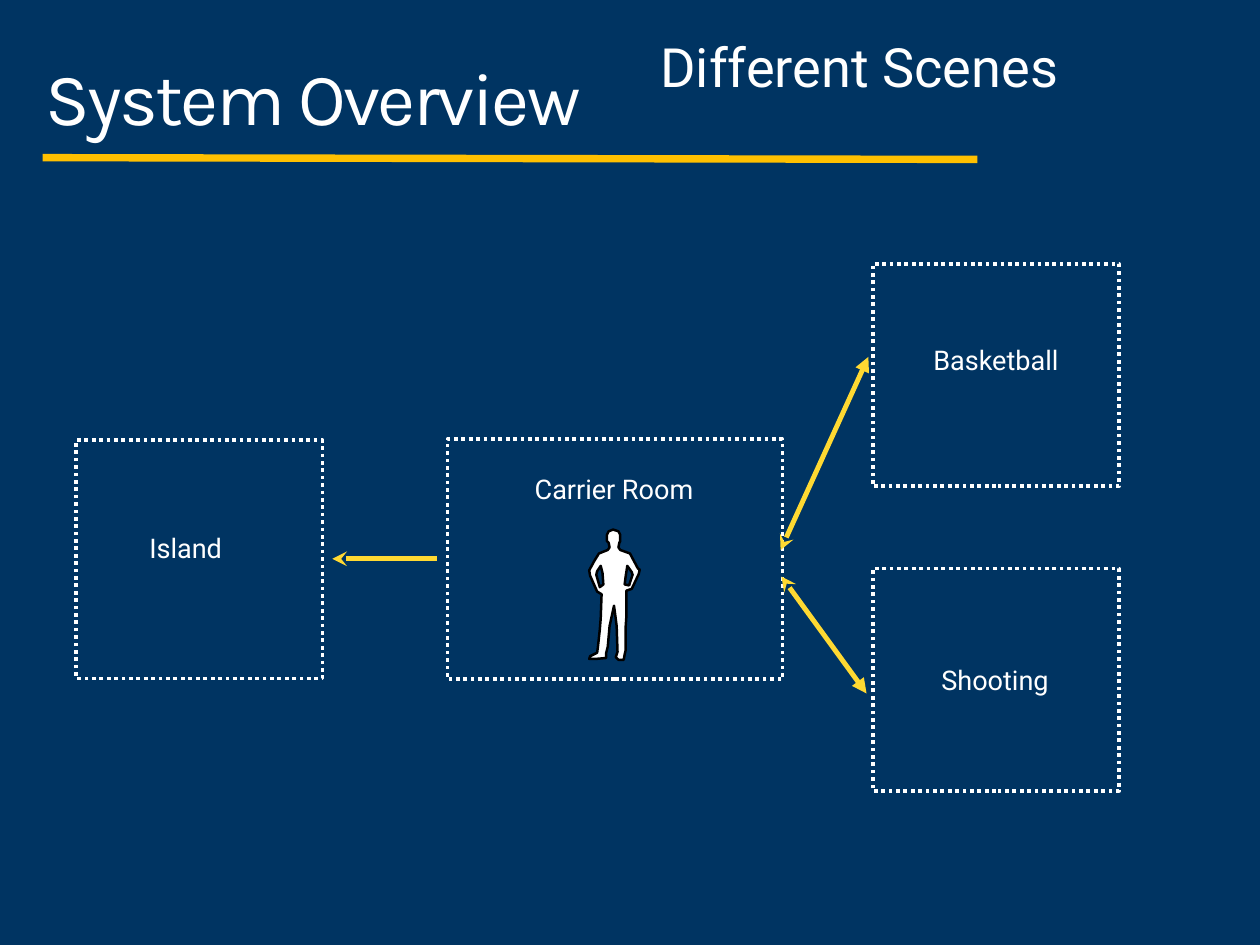
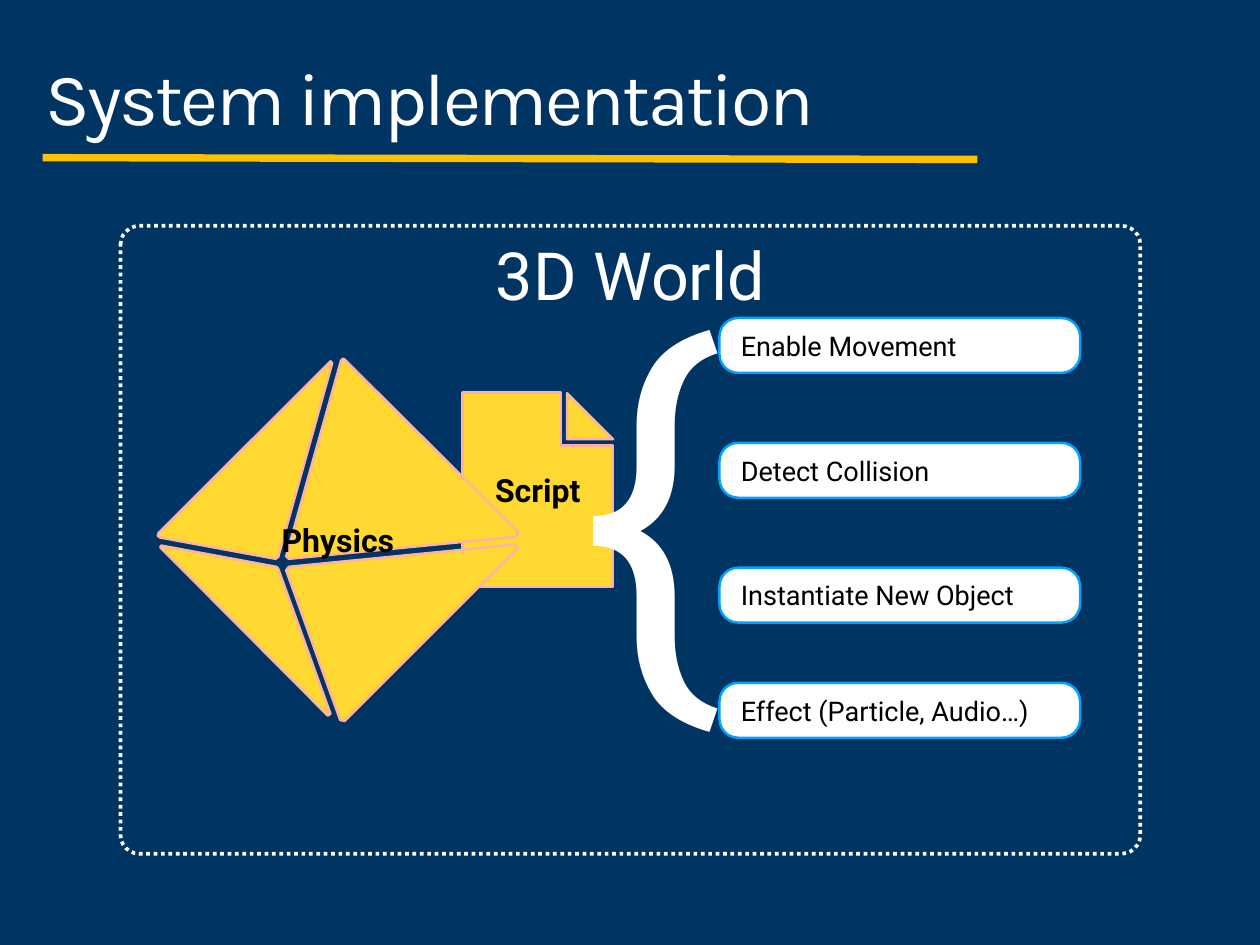
from dataclasses import dataclass

from lxml import etree
from pptx import Presentation
from pptx.dml.color import RGBColor
from pptx.enum import dml, shapes, text
from pptx.oxml import ns
from pptx.util import Inches, Pt


@dataclass(frozen=True)
class Theme:
    navy: str = "003462"
    white: str = "FFFFFF"
    black: str = "000000"
    gold: str = "FFC000"
    yellow: str = "FFD932"
    pink: str = "FFB1A6"
    blue: str = "00A2FF"
    title_font: str = "Karla"
    body_font: str = "Roboto"
    title_size: int = 60
    world_size: int = 54
    heading_size: int = 44
    icon_size: int = 26
    label_size: int = 22
    brace_size: int = 341
    inset: float = 0.03


THEME = Theme()

PERSON_OUTLINE = [
    (6.92, 5.98), (6.87, 6), (6.85, 6.04), (6.85, 6.11), (6.87, 6.13), (6.88, 6.18),
    (6.86, 6.21), (6.76, 6.25), (6.71, 6.33), (6.65, 6.44), (6.66, 6.5), (6.74, 6.68),
    (6.79, 6.71), (6.78, 6.98), (6.77, 7.11), (6.75, 7.29), (6.74, 7.37), (6.66, 7.41),
    (6.65, 7.44), (6.73, 7.44), (6.84, 7.43), (6.84, 7.38), (6.86, 7.3), (6.88, 7.07),
    (6.93, 6.84), (6.95, 6.99), (6.96, 7.07), (6.97, 7.36), (6.95, 7.42), (6.98, 7.45),
    (7.04, 7.45), (7.05, 7.39), (7.06, 7.35), (7.06, 7.1), (7.07, 6.96), (7.07, 6.67),
    (7.13, 6.65), (7.21, 6.48), (7.22, 6.43), (7.2, 6.42), (7.11, 6.25), (7, 6.21),
    (6.98, 6.18), (6.99, 6.13), (7, 6.11), (7, 6.04), (6.98, 6),
]
RIGHT_ARM_GAP = [(7.08, 6.39), (7.13, 6.46), (7.14, 6.49), (7.1, 6.61), (7.05, 6.6), (7.06, 6.52)]
LEFT_ARM_GAP = [(6.78, 6.39), (6.8, 6.47), (6.81, 6.6), (6.77, 6.63), (6.73, 6.49), (6.74, 6.45)]

SCRIPT_PAGE = [(5.22, 4.43), (5.22, 6.63), (6.92, 6.63), (6.92, 5.03), (6.33, 5.03), (6.33, 4.43)]
SCRIPT_FOLD = [(6.4, 4.44), (6.4, 4.96), (6.92, 4.96)]

PHYSICS_FACETS = [
    [(3.87, 4.05), (3.85, 4.07), (3.23, 6.28), (3.26, 6.31), (5.83, 6.06), (5.85, 6.01), (3.89, 4.06)],
    [(3.73, 4.08), (1.79, 6.02), (1.78, 6.05), (1.81, 6.07), (3.11, 6.31), (3.14, 6.29), (3.75, 4.1)],
    [(5.8, 6.15), (3.26, 6.4), (3.23, 6.44), (3.84, 8.13), (3.89, 8.14), (5.83, 6.2), (5.84, 6.17)],
    [(1.82, 6.16), (1.81, 6.18), (3.7, 8.08), (3.73, 8.06), (3.14, 6.42), (3.12, 6.4)],
]


def rgb(color):
    return RGBColor.from_string(color)


def write(shape, words, size, color=THEME.white, font=THEME.body_font, bold=False,
          align=text.PP_ALIGN.CENTER, anchor=text.MSO_ANCHOR.MIDDLE, wrap=True, left_inset=THEME.inset):
    """Put one paragraph in the shape and return it."""
    frame = shape.text_frame
    frame.word_wrap = wrap
    frame.vertical_anchor = anchor
    frame.margin_left = Inches(left_inset)
    frame.margin_right = frame.margin_top = frame.margin_bottom = Inches(THEME.inset)
    para = frame.paragraphs[0]
    para.text = words
    para.alignment = align
    para.font.name = font
    para.font.size = Pt(size)
    para.font.bold = bold
    para.font.color.rgb = rgb(color)
    return para


def paint(shape, line_color, line_width, fill=None):
    shape.shadow.inherit = False
    if fill:
        shape.fill.solid()
        shape.fill.fore_color.rgb = rgb(fill)
    else:
        shape.fill.background()
    shape.line.color.rgb = rgb(line_color)
    shape.line.width = Pt(line_width)


def add_box(slide, kind, bounds, corner=None):
    box = slide.shapes.add_shape(kind, *map(Inches, bounds))
    if corner is not None:
        box.adjustments[0] = corner
    return box


def add_dotted_box(slide, kind, bounds, corner=None):
    box = add_box(slide, kind, bounds, corner)
    paint(box, THEME.white, 3)
    box.line.dash_style = dml.MSO_LINE.ROUND_DOT
    return box


def add_label(slide, words, bounds, size=THEME.label_size):
    label = slide.shapes.add_textbox(*map(Inches, bounds))
    write(label, words, size, wrap=False)
    label.text_frame.auto_size = text.MSO_AUTO_SIZE.SHAPE_TO_FIT_TEXT


def add_outline(slide, contours, fill, line_color):
    """Draw closed contours, given in inches, as one freeform."""
    builder = None
    for contour in contours:
        start, *rest = [(Inches(x), Inches(y)) for x, y in contour]
        if builder is None:
            builder = slide.shapes.build_freeform(*start)
        else:
            builder.move_to(*start)
        builder.add_line_segments(rest, close=True)
    outline = builder.convert_to_shape()
    paint(outline, line_color, 2, fill)
    return outline


def add_line(slide, start, end, color, width, head=None, tail=None):
    line = slide.shapes.add_connector(shapes.MSO_CONNECTOR.STRAIGHT, *map(Inches, start + end))
    line.line.color.rgb = rgb(color)
    line.line.width = Pt(width)
    stroke = line.line._get_or_add_ln()
    for tag, arrow in (("a:headEnd", head), ("a:tailEnd", tail)):
        if arrow:
            etree.SubElement(stroke, ns.qn(tag), type=arrow)
    etree.SubElement(line._element.spPr, ns.qn("a:effectLst"))


def add_titled_slide(deck, title):
    slide = deck.slides.add_slide(deck.slide_layouts[6])
    slide.background.fill.solid()
    slide.background.fill.fore_color.rgb = rgb(THEME.navy)
    box = slide.shapes.add_textbox(*map(Inches, (0.48, 0.47, 11.98, 1.14)))
    para = write(box, title, THEME.title_size, font=THEME.title_font,
                 align=text.PP_ALIGN.LEFT, anchor=text.MSO_ANCHOR.BOTTOM)
    para.line_spacing = 0.8
    para.runs[0].font._element.set("spc", "-200")
    add_line(slide, (0.48, 1.78), (11.03, 1.8), THEME.gold, 6)
    return slide


def build_overview(deck):
    slide = add_titled_slide(deck, "System Overview")
    add_outline(slide, [PERSON_OUTLINE, RIGHT_ARM_GAP, LEFT_ARM_GAP], THEME.white, THEME.black)
    scenes = [
        ("Carrier Room", (5.05, 4.96, 3.78, 2.71), (5.98, 5.3, 1.9, 0.43)),
        ("Basketball", (9.85, 2.98, 2.78, 2.51), (10.49, 3.85, 1.5, 0.43)),
        ("Shooting", (9.85, 6.42, 2.78, 2.51), (10.58, 7.46, 1.3, 0.43)),
        ("Island", (0.86, 4.97, 2.78, 2.69), (1.65, 5.97, 0.89, 0.43)),
    ]
    for name, room, label in scenes:
        add_dotted_box(slide, shapes.MSO_SHAPE.RECTANGLE, room)
        add_label(slide, name, label)
    add_label(slide, "Different Scenes", (7.33, 0.36, 4.74, 0.76), THEME.heading_size)
    routes = [
        ((8.81, 6.21), (9.8, 4.03), "triangle"),
        ((8.82, 6.51), (9.78, 7.83), "triangle"),
        ((3.75, 6.31), (4.93, 6.31), None),
    ]
    for start, end, tail in routes:
        add_line(slide, start, end, THEME.yellow, 4, "stealth", tail)


def build_implementation(deck):
    slide = add_titled_slide(deck, "System implementation")
    rounded = shapes.MSO_SHAPE.ROUNDED_RECTANGLE
    world = add_dotted_box(slide, rounded, (1.36, 2.55, 11.51, 7.09), 0.03)
    write(world, "3D World", THEME.world_size, anchor=text.MSO_ANCHOR.TOP)
    for name, contours in (("Script", [SCRIPT_PAGE, SCRIPT_FOLD]), ("Physics", PHYSICS_FACETS)):
        icon = add_outline(slide, contours, THEME.yellow, THEME.pink)
        write(icon, name, THEME.icon_size, THEME.black, bold=True)
    features = [
        ("Enable Movement", 3.59),
        ("Detect Collision", 5),
        ("Instantiate New Object", 6.41),
        ("Effect (Particle, Audio…)", 7.71),
    ]
    for feature, top in features:
        pill = add_box(slide, rounded, (8.12, top, 4.07, 0.62), 0.34)
        paint(pill, THEME.blue, 2, THEME.white)
        write(pill, feature, THEME.label_size, THEME.black, align=text.PP_ALIGN.LEFT, left_inset=0.18)
    add_label(slide, "{", (6.52, 2.8, 1.65, 5.47), THEME.brace_size)


def main():
    deck = Presentation()
    deck.slide_width, deck.slide_height = Inches(14.22), Inches(10.67)
    build_overview(deck)
    build_implementation(deck)
    deck.save("out.pptx")


if __name__ == "__main__":
    main()
